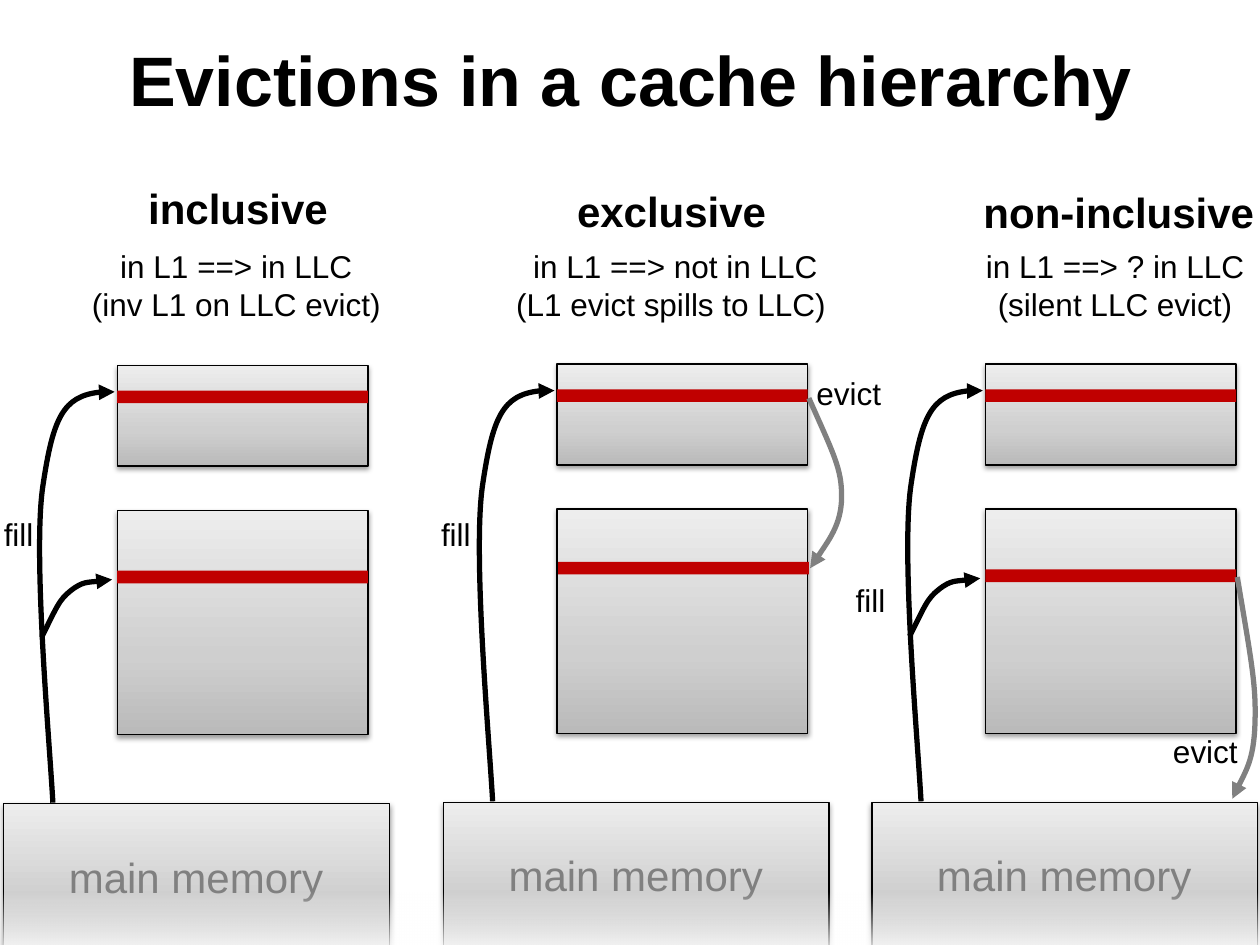
from dataclasses import dataclass

import pptx
import pptx.dml.color
import pptx.enum.shapes
import pptx.enum.text
import pptx.oxml
import pptx.oxml.ns
import pptx.util
from pptx.util import Inches

Point = tuple[float, float]
qn = pptx.oxml.ns.qn
FONT = "Arial"
RED, GREY, BLACK, WHITE = "C00000", "808080", "000000", "FFFFFF"
STEEL = [(0, "BABABA", 100), (35, "CFCFCF", 100), (100, "EDEDED", 100)]
VEIL = [(0, WHITE, 0), (100, WHITE, 100)]
WIDE, L1_TALL, LLC_TALL, LINE_TALL = 1.99, 0.8, 1.78, 0.1
MEM_TOP = 6.37

# Fill arrows, with x measured from the left side of the caches
MAIN = [(-0.51, 6.36), (-0.54, 5.83), (-0.67, 4.39), (-0.59, 3.85),
        (-0.51, 3.31), (-0.41, 3.08), (-0.02, 3.1)]
BRANCH = [(-0.6, 5.05), (-0.48, 4.81), (-0.46, 4.75), (-0.37, 4.68),
          (-0.27, 4.6), (-0.04, 4.59), (-0.04, 4.59)]
# Evict arrows
SPILL = [(6.42, 3.16), (6.62, 3.61), (6.68, 3.72), (6.68, 3.94),
         (6.68, 4.17), (6.43, 4.51), (6.43, 4.51)]
SILENT = [(9.82, 4.58), (9.94, 5.29), (9.97, 5.45), (9.96, 5.75),
          (9.95, 6.04), (9.78, 6.34), (9.78, 6.34)]


@dataclass
class Policy:
    name: str
    rule: str
    left: float
    drop: float
    head: tuple[float, float, float]
    note: tuple[float, float]
    fill: Point
    line: Point
    branch: bool = True


POLICIES = [
    Policy("inclusive", "in L1 ==> in LLC\n(inv L1 on LLC evict)", 0.93, 0.01,
           (1.12, 1.4, 1.54), (0.67, 2.41), (-0.02, 4.04), (0.93, 4.52)),
    Policy("exclusive", "in L1 ==> not in LLC\n(L1 evict spills to LLC) ", 4.42, 0,
           (4.52, 1.42, 1.62), (4.04, 2.64), (3.45, 4.04), (4.43, 4.46), False),
    Policy("non-inclusive", "in L1 ==> ? in LLC\n(silent LLC evict)", 7.82, 0,
           (7.75, 1.43, 2.26), (7.77, 2.16), (6.74, 4.56), (7.82, 4.52)),
]


def rgb(code: str) -> pptx.dml.color.RGBColor:
    return pptx.dml.color.RGBColor.from_string(code)


def node(tag: str, body: str = "", **attrs):
    """Make one DrawingML element."""
    args = "".join(f' {key}="{val}"' for key, val in attrs.items())
    return pptx.oxml.parse_xml(
        f'<a:{tag} {pptx.oxml.ns.nsdecls("a")}{args}>{body}</a:{tag}>')


def write(slide, text: str, left: float, top: float, wide: float, tall: float, *,
          size: float = 18, color: str = BLACK, bold: bool = False,
          center: bool = True, middle: bool = False, wrap: bool = False) -> None:
    box = slide.shapes.add_textbox(Inches(left), Inches(top), Inches(wide), Inches(tall))
    frame = box.text_frame
    frame.word_wrap = wrap
    frame.margin_left = frame.margin_right = Inches(0.05)
    frame.margin_top = frame.margin_bottom = Inches(0.05)
    anchor = pptx.enum.text.MSO_ANCHOR
    frame.vertical_anchor = anchor.MIDDLE if middle else anchor.TOP
    frame.text = text
    align = pptx.enum.text.PP_ALIGN
    for para in frame.paragraphs:
        para.alignment = align.CENTER if center else align.LEFT
        font = para.font
        font.name, font.size, font.bold = FONT, pptx.util.Pt(size), bold
        font.color.rgb = rgb(color)


def rect(slide, left: float, top: float, wide: float, tall: float):
    kind = pptx.enum.shapes.MSO_SHAPE.RECTANGLE
    shape = slide.shapes.add_shape(kind, Inches(left), Inches(top),
                                   Inches(wide), Inches(tall))
    shape.shadow.inherit = False
    shape.line.fill.background()
    return shape


def shade(shape, stops: list[tuple[int, str, int]], angle: float) -> None:
    """Fill with gradient stops given as place, colour and opacity in percent."""
    shape.fill.gradient()
    shape.fill.gradient_angle = angle
    stop_list = shape._element.spPr.find(qn("a:gradFill")).find(qn("a:gsLst"))
    for old in list(stop_list):
        stop_list.remove(old)
    for place, code, alpha in stops:
        body = f'<a:srgbClr val="{code}"><a:alpha val="{alpha * 1000}"/></a:srgbClr>'
        stop_list.append(node("gs", body, pos=place * 1000))


def block(slide, left: float, top: float, wide: float, tall: float) -> None:
    """Draw a grey memory block with its drop shadow."""
    shape = rect(slide, left, top, wide, tall)
    shade(shape, STEEL, 90)
    shape.line.color.rgb = rgb(BLACK)
    shape.line.width = pptx.util.Pt(0.75)
    color = f'<a:srgbClr val="{BLACK}"><a:alpha val="38000"/></a:srgbClr>'
    shape._element.spPr.find(qn("a:effectLst")).append(
        node("outerShdw", color, blurRad=pptx.util.Pt(3), dist=pptx.util.Pt(1.6),
             dir=5400000, rotWithShape=0))


def stripe(slide, left: float, top: float) -> None:
    shape = rect(slide, left, top, WIDE, LINE_TALL)
    shape.fill.solid()
    shape.fill.fore_color.rgb = rgb(RED)


def curve(slide, points: list[Point], color: str = BLACK,
          dx: float = 0, dy: float = 0) -> None:
    """Draw an arrow through cubic Bezier points: a start, then threes."""
    spots = [(Inches(x + dx), Inches(y + dy)) for x, y in points]
    form = slide.shapes.build_freeform(*spots[0])
    form.add_line_segments(spots[1:], close=False)
    shape = form.convert_to_shape()
    shape.shadow.inherit = False
    shape.fill.background()
    shape.line.color.rgb = rgb(color)
    shape.line.width = pptx.util.Pt(3)
    shape.line._get_or_add_ln().append(node("tailEnd", type="triangle"))
    legs = list(shape._element.spPr.iter(qn("a:lnTo")))
    track = legs[0].getparent()
    for start in range(0, len(legs), 3):
        bend = node("cubicBezTo")
        track.append(bend)
        for leg in legs[start:start + 3]:
            bend.append(leg[0])
            track.remove(leg)


def memory(slide, item: Policy) -> None:
    left, top = item.left - 0.9, MEM_TOP + item.drop
    block(slide, left, top, 3.06, 1.14)
    write(slide, "main memory", left + 0.05, top + 0.14, 2.95, 0.87,
          size=24, color=GREY, middle=True, wrap=True)


def caches(slide, item: Policy) -> None:
    left, drop = item.left, item.drop
    x, y, wide = item.head
    write(slide, item.name, x, y, wide, 0.48, size=24, bold=True)
    x, wide = item.note
    write(slide, item.rule, x, 1.91, wide, 0.68)
    block(slide, left, 2.89 + drop, WIDE, L1_TALL)
    stripe(slide, left, 3.09 + drop)
    block(slide, left, 4.04 + drop, WIDE, LLC_TALL)
    x, y = item.line
    stripe(slide, x, y + drop)
    curve(slide, MAIN, dx=left, dy=drop)
    if item.branch:
        curve(slide, BRANCH, dx=left, dy=drop)
    write(slide, "fill", *item.fill, 0.35, 0.38, center=False)


def main() -> None:
    deck = pptx.Presentation()
    deck.slide_width, deck.slide_height = Inches(10), Inches(7.5)
    slide = deck.slides.add_slide(deck.slide_layouts[6])
    write(slide, "Evictions in a cache hierarchy", 0.03, 0, 9.95, 1.25,
          size=40, bold=True, middle=True, wrap=True)
    for item in POLICIES:
        memory(slide, item)
    shade(rect(slide, 0.03, 7.08, 10.07, 0.51), VEIL, 270)
    for item in POLICIES:
        caches(slide, item)
    for points, left, top in ((SPILL, 6.43, 2.92), (SILENT, 9.26, 5.76)):
        curve(slide, points, GREY)
        write(slide, "evict", left, top, 0.63, 0.38, center=False)
    deck.save("out.pptx")


if __name__ == "__main__":
    main()
